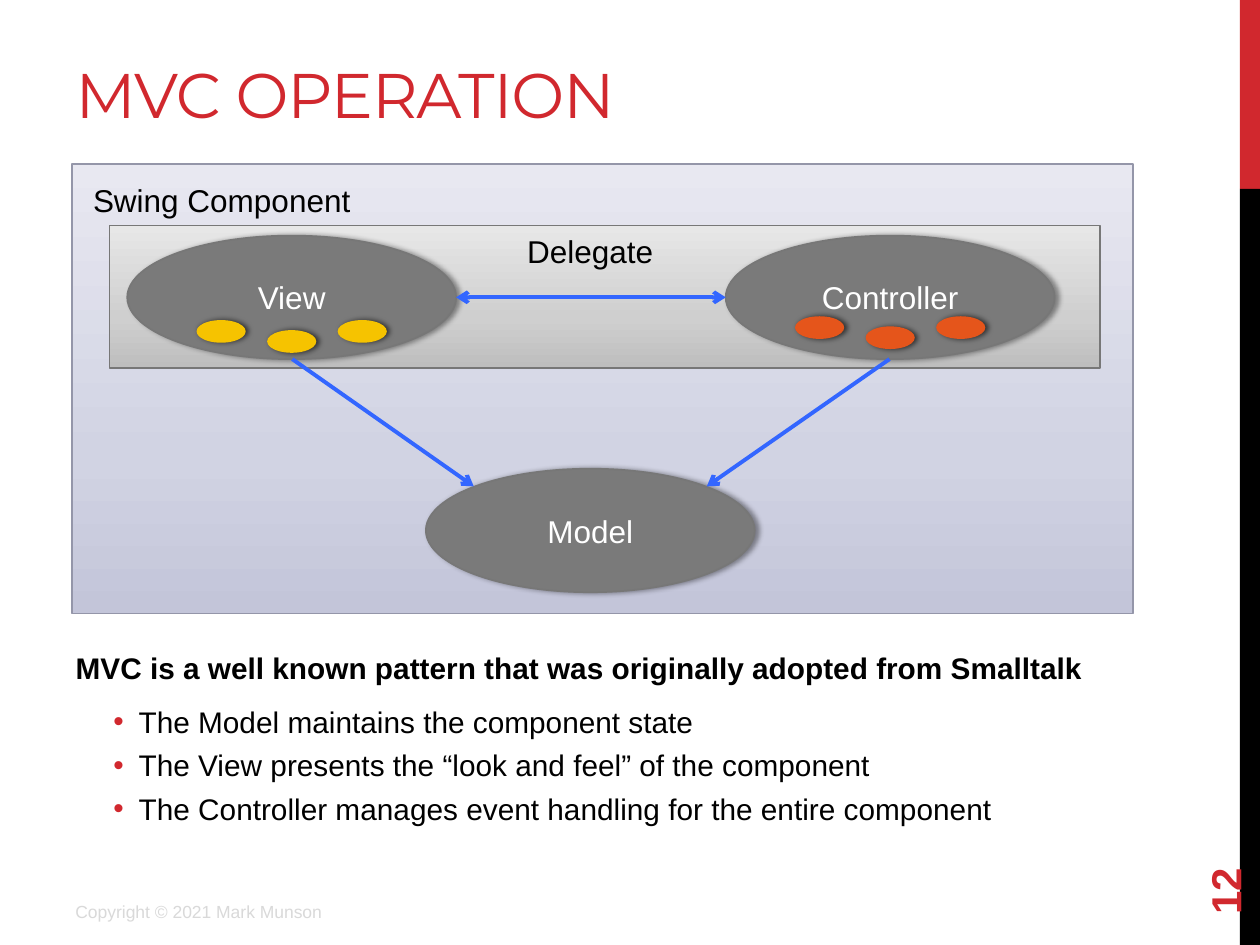
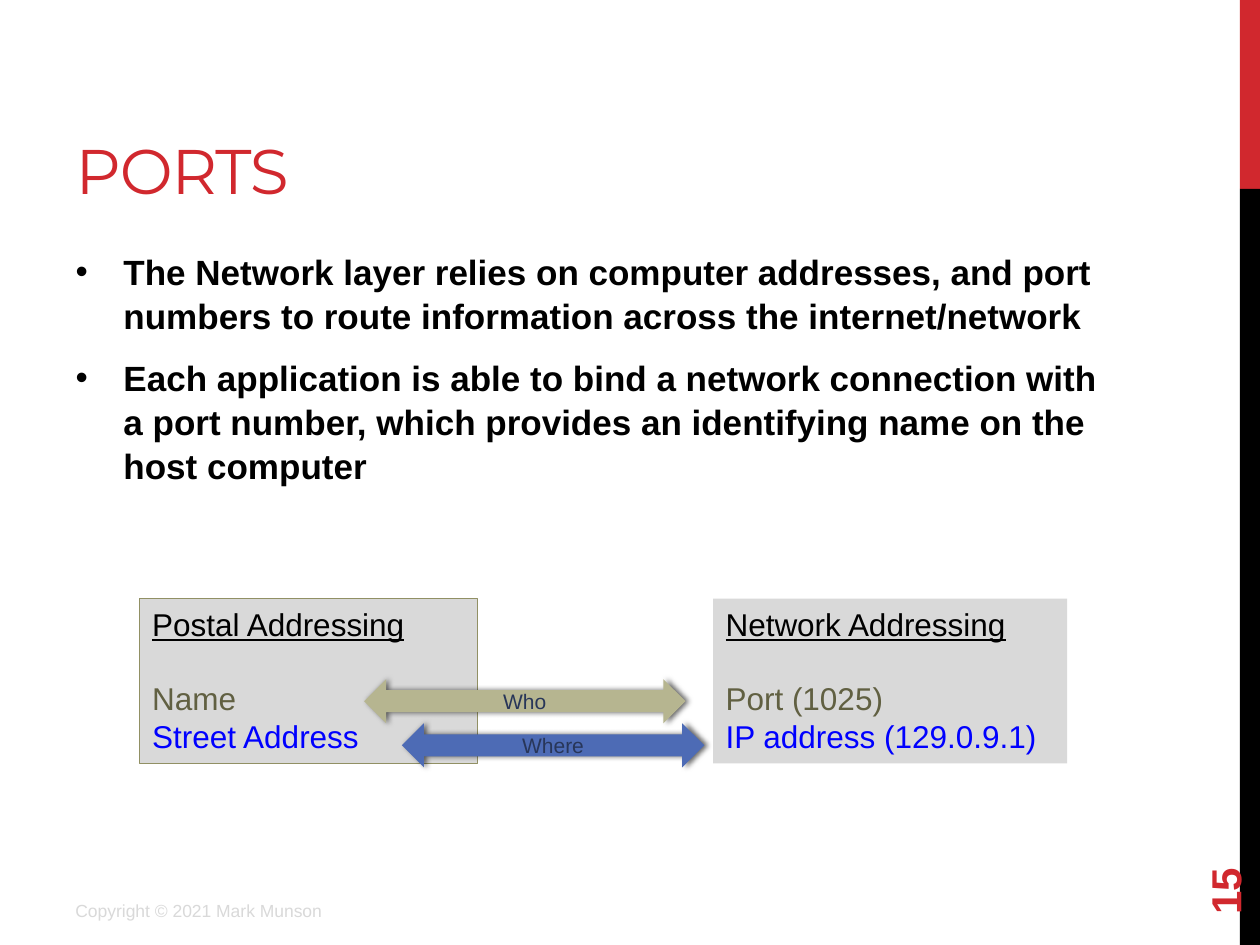
from copy import deepcopy
from lxml import etree
from pptx import Presentation
from pptx import util as u
from pptx.dml.color import RGBColor
from pptx.enum import shapes as es, text as et
from pptx.oxml.ns import qn

PX = 9144
RED, BLACK, WHITE, GRAY, BLUE = "D1282E", "000000", "FFFFFF", "D9D9D9", "3366FF"
KIND = es.MSO_SHAPE
LEFT, MID = et.PP_ALIGN.LEFT, et.PP_ALIGN.CENTER
TOP, CORE, BASE = et.MSO_ANCHOR.TOP, et.MSO_ANCHOR.MIDDLE, et.MSO_ANCHOR.BOTTOM
SOFT = (40, 3.1, 1.8)
DEEP = (60, 3, 1.5)


def px(*nums):
    return [u.Emu(n * PX) for n in nums]


def rgb(code):
    return RGBColor.from_string(code)


def apply(obj, fmt):
    for key, val in fmt.items():
        setattr(obj, key, val)


def node(root, tag, **attrs):
    return etree.SubElement(root, qn(tag), {k: str(v) for k, v in attrs.items()})


def place(obj, box):
    apply(obj, dict(zip(("left", "top", "width", "height"), px(*box))))


def write(par, words, size, color=BLACK, face="Arial", align=LEFT, **fmt):
    par.alignment = align
    run = par.add_run()
    run.text = words
    apply(run.font, dict(size=u.Pt(size), name=face, **fmt))
    run.font.color.rgb = rgb(color)
    return run


def frame(shape, anchor=TOP):
    tf = shape.text_frame
    apply(tf, dict(word_wrap=True, auto_size=et.MSO_AUTO_SIZE.NONE,
                   vertical_anchor=anchor))
    return tf


def label(slide, box, words, size=18, anchor=TOP, **fmt):
    note = slide.shapes.add_textbox(*px(*box))
    write(frame(note, anchor).paragraphs[0], words, size, **fmt)
    return note


def block(host, kind, box, fill, line=None, width=1, shade=None):
    shape = host.shapes.add_shape(kind, *px(*box))
    shape.shadow.inherit = False
    if isinstance(fill, str):
        shape.fill.solid()
        shape.fill.fore_color.rgb = rgb(fill)
    else:
        blend(shape, fill)
    if line:
        shape.line.color.rgb = rgb(line)
        shape.line.width = u.Pt(width)
    else:
        shape.line.fill.background()
    if shade:
        alpha, blur, dist = shade
        glow = node(shape._element.spPr.find(qn("a:effectLst")), "a:outerShdw",
                    blurRad=u.Pt(blur), dist=u.Pt(dist), dir=0,
                    algn="ctr", rotWithShape=0)
        node(node(glow, "a:srgbClr", val=BLACK), "a:alpha", val=alpha * 1000)
    return shape


def blend(shape, codes):
    shape.fill.gradient()
    shape.fill.gradient_angle = 90
    stops = shape._element.spPr.find(".//" + qn("a:gsLst"))
    stops.append(deepcopy(stops[0]))
    for stop, pos, code in zip(shape.fill.gradient_stops, (0, 0.35, 1), codes):
        stop.position = pos
        stop.color.rgb = rgb(code)


def link(slide, ends, *tips):
    line = slide.shapes.add_connector(es.MSO_CONNECTOR.STRAIGHT, *px(*ends))
    line.line.color.rgb = rgb(BLUE)
    line.line.width = u.Pt(2.25)
    for tip in tips:
        node(line.line._get_or_add_ln(), tip, type="arrow")
    node(line._element.spPr, "a:effectLst")


def bullet(par, left, hang, color):
    ppr = par._p.get_or_add_pPr()
    apply_to = dict(marL=left * PX, indent=-hang * PX)
    for key, val in apply_to.items():
        ppr.set(key, str(val))
    if hang:
        node(node(ppr, "a:buClr"), "a:srgbClr", val=color)
        node(ppr, "a:buFont", typeface="Arial")
        node(ppr, "a:buChar", char="•")
    else:
        node(ppr, "a:buNone")


def base(deck, title, wide, foot, page, low=3):
    slide = deck.slides.add_slide(deck.slide_layouts[1])
    for top, high, color in ((0, 150, RED), (150, 600, BLACK)):
        block(slide, KIND.RECTANGLE, (984, top, 16, high), color)
    head = slide.shapes.title
    place(head, (50, 17, wide, 150))
    tf = frame(head, BASE)
    tf.margin_bottom = px(low)[0]
    run = write(tf.paragraphs[0], title, 36, RED, "Montserrat")
    run._r.get_or_add_rPr().set("spc", "-60")
    label(slide, (50, foot, 375, 31), "Copyright © 2021 Mark Munson", 10, color=GRAY)
    num = label(slide, (900, 644, 144, 40), page, 24, CORE, color=RED, bold=True)
    num.rotation = 270
    return slide


def points(slide, box, size, items):
    body = slide.placeholders[1]
    place(body, box)
    tf = frame(body)
    for i, (words, level, left, hang, after, color) in enumerate(items):
        par = tf.paragraphs[0] if i == 0 else tf.add_paragraph()
        apply(par, dict(level=level, line_spacing=1.05, space_after=u.Pt(after),
                        space_before=u.Pt(size * 0.2 if i else 0)))
        bullet(par, left, hang, color)
        write(par, words, size, bold=level == 0)


def oval(slide, x, y, words):
    shape = block(slide, KIND.OVAL, (x, y, 261, 98), "7A7A7A", "777777", shade=SOFT)
    write(frame(shape, CORE).paragraphs[0], words, 18, WHITE, align=MID)


def dots(slide, x, y, color):
    group = slide.shapes.add_group_shape()
    for i, drop in enumerate((0, 8, 0)):
        block(group, KIND.OVAL, (x + 56 * i, y + drop, 39, 18), color, shade=DEEP)


def graph(slide, x, y):
    block(slide, KIND.RECTANGLE, (x, y, 842, 357),
          ("C3C5D9", "D1D3E3", "E8E8F1"), "9496A9")
    block(slide, KIND.RECTANGLE, (x + 30, y + 49, 786, 113),
          ("BEBEBE", "CFCFCF", "E7E7E7"), "777777")
    for dx, dy, words in ((44, 57, "View"), (281, 242, "Model"),
                          (519, 57, "Controller")):
        oval(slide, x + dx, y + dy, words)
    for ends, tips in (((175, 155, 319, 256), ["a:tailEnd"]),
                       ((305, 106, 519, 106), ["a:headEnd", "a:tailEnd"]),
                       ((504, 256, 649, 155), ["a:headEnd"])):
        a, b, c, d = ends
        link(slide, (x + a, y + b, x + c, y + d), *tips)
    label(slide, (x + 7, y + 9, 254, 40), "Swing Component")
    dots(slide, x + 574, y + 121, "E5551B")
    dots(slide, x + 99, y + 124, "F6C300")
    label(slide, (x + 328, y + 49, 167, 40), "Delegate", align=MID)


def card(slide, box, rows, line=None):
    tf = frame(block(slide, KIND.RECTANGLE, box, GRAY, line, 0.75))
    for i, (words, color) in enumerate(zip(rows, (BLACK, "616042", "0000FF"))):
        par = tf.paragraphs[0] if i == 0 else tf.add_paragraph()
        par.space_before = u.Pt(21 if i == 1 else 0)
        write(par, words, 18, color, underline=i == 0)


def match(slide, x, y):
    card(slide, (x + 455, y, 281, 131),
         ("Network Addressing", "Port (1025)", "IP address (129.0.9.1)"))
    card(slide, (x, y, 268, 131),
         ("Postal Addressing", "Name", "Street Address"), "919064")
    for dx, dy, wide, words, color in ((178, 64, 255, "Who", "B6B590"),
                                       (208, 99, 240, "Where", "4D6BB5")):
        arrow = block(slide, KIND.LEFT_RIGHT_ARROW, (x + dx, y + dy, wide, 35),
                      color, shade=DEEP)
        write(frame(arrow, CORE).paragraphs[0], words, 12, "283659", align=MID)


def main():
    deck = Presentation()
    deck.slide_width, deck.slide_height = px(1000, 750)

    slide = base(deck, "MVC OPERATION", 796, 710, "12", 63)
    lead = "MVC is a well known pattern that was originally adopted from Smalltalk"
    roles = ("The Model maintains the component state",
             "The View presents the “look and feel” of the component",
             "The Controller manages event handling for the entire component")
    points(slide, (50, 509, 833, 161), 17,
           [(lead, 0, 0, 0, 6, BLACK)] + [(r, 1, 50, 20, 0, RED) for r in roles])
    graph(slide, 57, 130)

    slide = base(deck, "PORTS", 633, 709, "15")
    facts = ("The Network layer relies on computer addresses, and port numbers "
             "to route information across the internet/network",
             "Each application is able to bind a network connection with a port "
             "number, which provides an identifying name on the host computer")
    points(slide, (50, 192, 833, 241), 20,
           [(f, 0, 38, 38, 6, BLACK) for f in facts])
    match(slide, 111, 475)

    deck.save("out.pptx")


if __name__ == "__main__":
    main()
